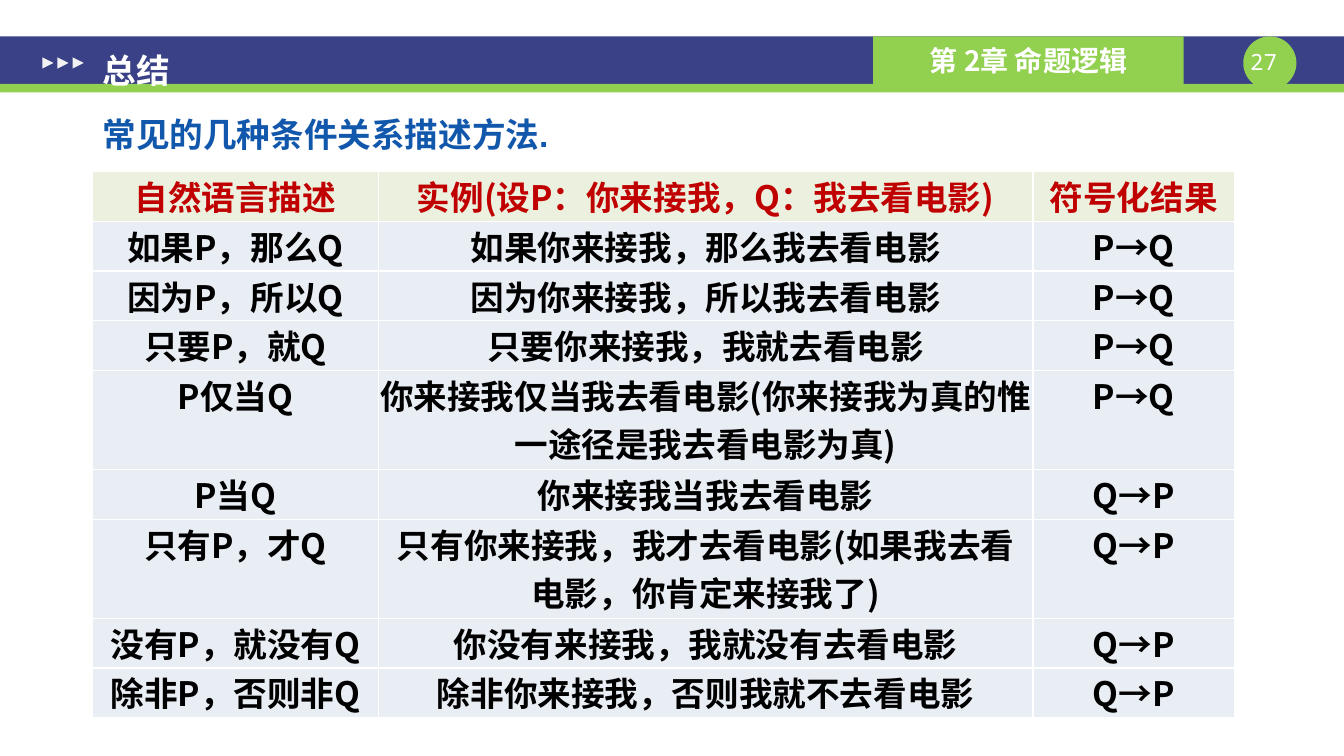
import pptx
import pptx.dml.color
import pptx.enum.shapes
import pptx.enum.text
import pptx.oxml.ns
import pptx.util
from lxml import etree

Pt = pptx.util.Pt
SHAPES = pptx.enum.shapes.MSO_SHAPE
ALIGN = pptx.enum.text.PP_ALIGN
ANCHOR = pptx.enum.text.MSO_ANCHOR
qn = pptx.oxml.ns.qn

SANS = "Noto Sans CJK SC"
WHITE, BLACK, NAVY, GREEN = "FFFFFF", "000000", "3A4187", "92D050"
RED, BLUE, LIGHT_GRAY = "C00000", "1157AB", "F2F2F2"
HEADER_FILL, BODY_FILL = "EBF1DE", "E9EDF4"
SLIDE_WIDTH, SLIDE_HEIGHT = 960.5, 540
BAND_TOP, BAND_HEIGHT = 26, 34
LEFT_EDGE = 66.25
COLUMN_WIDTHS = [204, 468, 144]
LINE_HEIGHT = 35.45
TWO_LINE_ROWS = {4, 6}

ROWS = [
    ("自然语言描述", "实例(设P：你来接我，Q：我去看电影)", "符号化结果"),
    ("如果P，那么Q", "如果你来接我，那么我去看电影", "P→Q"),
    ("因为P，所以Q", "因为你来接我，所以我去看电影", "P→Q"),
    ("只要P，就Q", "只要你来接我，我就去看电影", "P→Q"),
    ("P仅当Q", "你来接我仅当我去看电影(你来接我为真的惟一途径是我去看电影为真)", "P→Q"),
    ("P当Q", "你来接我当我去看电影", "Q→P"),
    ("只有P，才Q", "只有你来接我，我才去看电影(如果我去看电影，你肯定来接我了)", "Q→P"),
    ("没有P，就没有Q", "你没有来接我，我就没有去看电影", "Q→P"),
    ("除非P，否则非Q", "除非你来接我，否则我就不去看电影", "Q→P"),
]


def color(value):
    return pptx.dml.color.RGBColor.from_string(value)


def paint(target, value):
    target.fill.solid()
    target.fill.fore_color.rgb = color(value)


def write(frame, text, size=24, font=SANS, fill=WHITE, bold=True,
          align=ALIGN.CENTER, spacing=None):
    """Put one formatted run in the frame; East Asian glyphs always use SANS."""
    para = frame.paragraphs[0]
    para.alignment = align
    if spacing:
        para.line_spacing = spacing
    span = para.add_run()
    span.text = text
    span.font.size = Pt(size)
    span.font.name = font
    span.font.bold = bold
    span.font.color.rgb = color(fill)
    east_asian = etree.SubElement(span.font._element, qn("a:ea"))
    east_asian.set("typeface", SANS)


def add_block(page, kind, left, top, width, height, fill):
    block = page.shapes.add_shape(kind, Pt(left), Pt(top), Pt(width), Pt(height))
    block.shadow.inherit = False
    paint(block, fill)
    block.line.fill.background()
    return block


def add_label(page, text, left, top, width, height, margin=None, wrap=False, **style):
    box = page.shapes.add_textbox(Pt(left), Pt(top), Pt(width), Pt(height))
    frame = box.text_frame
    frame.word_wrap = wrap
    if margin is not None:
        frame.margin_left = frame.margin_right = Pt(margin)
        frame.margin_top = frame.margin_bottom = Pt(margin)
    write(frame, text, **style)


def add_borders(cell, value):
    """Draw a 1 pt line on each side; the lines must precede the cell's fill."""
    properties = cell._tc.get_or_add_tcPr()
    for position, side in enumerate(("a:lnL", "a:lnR", "a:lnT", "a:lnB")):
        line = etree.Element(qn(side), w=str(Pt(1)))
        fill = etree.SubElement(line, qn("a:solidFill"))
        etree.SubElement(fill, qn("a:srgbClr"), val=value)
        properties.insert(position, line)


def add_header(page):
    add_block(page, SHAPES.RECTANGLE, 0, BAND_TOP, SLIDE_WIDTH, BAND_HEIGHT, NAVY)
    add_block(page, SHAPES.RECTANGLE, 0, BAND_TOP + BAND_HEIGHT, SLIDE_WIDTH, 6, GREEN)
    add_block(page, SHAPES.OVAL, 888.5, BAND_TOP, 38, 38, GREEN)
    add_label(page, "27", 884, 34.75, 38, 19.5, margin=0, wrap=True,
              size=16, font="Noto Sans Mono", bold=False)
    chapter = add_block(page, SHAPES.RECTANGLE, 624, BAND_TOP, 222, BAND_HEIGHT, GREEN)
    chapter.text_frame.vertical_anchor = ANCHOR.MIDDLE
    write(chapter.text_frame, "第 2章 命题逻辑", size=20)
    for index in range(3):
        arrow = add_block(page, SHAPES.ISOSCELES_TRIANGLE,
                          30.25 + 10.8 * index, 41, 8, 8, LIGHT_GRAY)
        arrow.rotation = 90


def add_condition_table(page):
    table = page.shapes.add_table(
        len(ROWS), len(COLUMN_WIDTHS), Pt(LEFT_EDGE), Pt(122.75),
        Pt(sum(COLUMN_WIDTHS)), Pt(LINE_HEIGHT * (len(ROWS) + len(TWO_LINE_ROWS)))).table
    for column, width in zip(table.columns, COLUMN_WIDTHS):
        column.width = Pt(width)
    for row_index, texts in enumerate(ROWS):
        lines = 2 if row_index in TWO_LINE_ROWS else 1
        table.rows[row_index].height = Pt(LINE_HEIGHT * lines)
        is_header = row_index == 0
        for column_index, text in enumerate(texts):
            cell = table.cell(row_index, column_index)
            cell.margin_left = cell.margin_right = Pt(1.5)
            cell.margin_top = cell.margin_bottom = Pt(0)
            paint(cell, HEADER_FILL if is_header else BODY_FILL)
            add_borders(cell, WHITE)
            write(cell.text_frame, text, fill=RED if is_header else BLACK)


def main():
    deck = pptx.Presentation()
    deck.slide_width, deck.slide_height = Pt(SLIDE_WIDTH), Pt(SLIDE_HEIGHT)
    page = deck.slides.add_slide(deck.slide_layouts[6])
    add_header(page)
    add_condition_table(page)
    add_label(page, "常见的几种条件关系描述方法.", LEFT_EDGE, 77.75, 336, 36,
              font="Arial", fill=BLUE, align=ALIGN.LEFT)
    add_label(page, "总结", LEFT_EDGE, 18, 62.5, 46, align=ALIGN.LEFT, spacing=1.5)
    deck.save("out.pptx")


if __name__ == "__main__":
    main()
